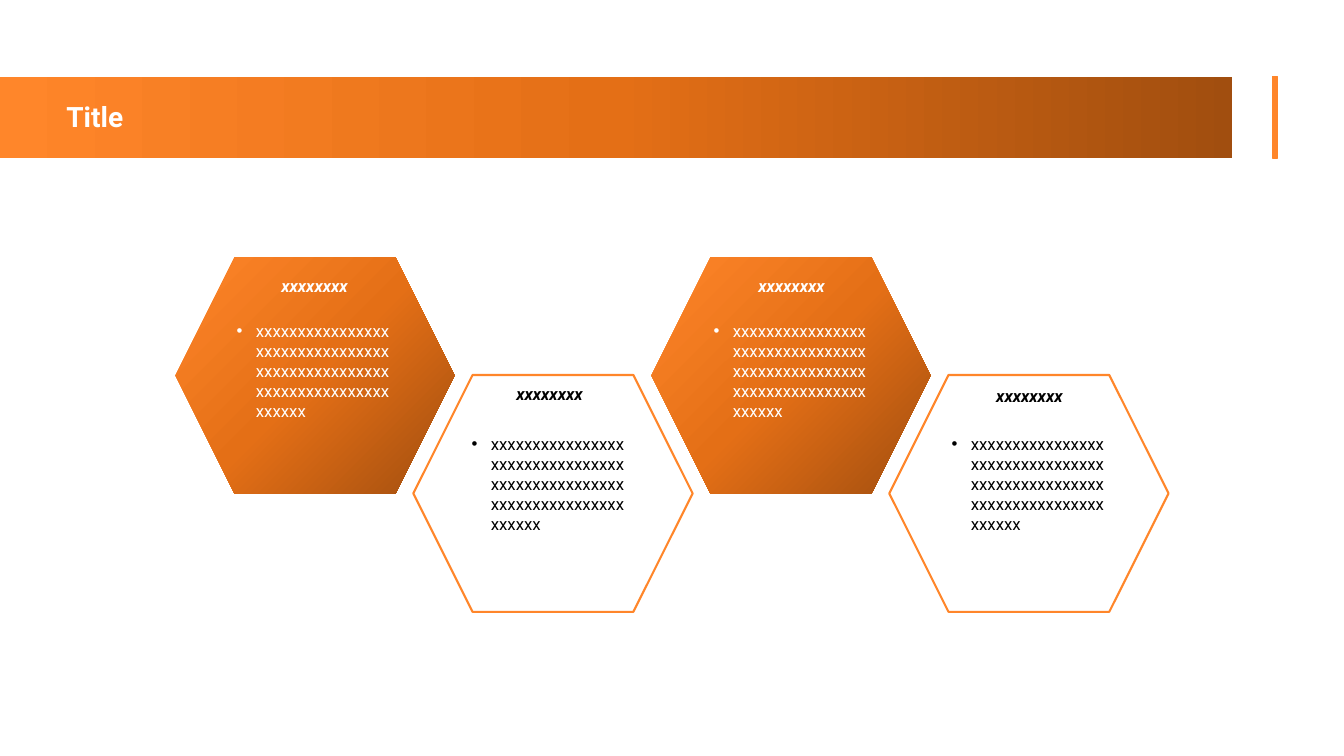
from dataclasses import dataclass

from lxml import etree
from pptx import Presentation
from pptx.dml.color import RGBColor
from pptx.enum import shapes, text
from pptx.oxml.ns import qn
from pptx.util import Inches, Pt

TITLE = "Title"
# heading, bullet, row, heading offset in its hexagon
CARDS = [
    ("xxxxxxxx", "x" * 70, 0, (0.72, 0.14)),
    ("xxxxxxxx", "x" * 70, 1, (0.69, 0.04)),
    ("xxxxxxxx", "x" * 70, 0, (0.73, 0.14)),
    ("xxxxxxxx", "x" * 70, 1, (0.73, 0.06)),
]


@dataclass(frozen=True)
class Theme:
    face: str = "Roboto"
    main: str = "FF862A"
    mid: str = "E46F16"
    deep: str = "A14E0F"
    light: str = "FFFFFF"
    dark: str = "000000"
    big: int = 20
    small: int = 12


T = Theme()
WIDE, HIGH = 13.33, 7.5
LEFT, TOP = 1.74, 2.55          # first hexagon
STEP, DROP = 2.36, 1.17         # column and row pitch
HEX = (2.77, 2.35)
BAND = (0.76, 0.81)             # top and height of the title band
HEAD, BODY = (1.32, 0.3), (1.74, 1.11)
BODY_TOP = (0.58, 0.53)         # by row
SHIFT, HANG = 0.21, 0.19

deck = Presentation()
deck.slide_width, deck.slide_height = Inches(WIDE), Inches(HIGH)
slide = deck.slides.add_slide(deck.slide_layouts[6])


def blend(fill, angle):
    """Fill from the main colour through mid to deep."""
    fill.gradient()
    fill.gradient_angle = angle
    stops = fill.gradient_stops
    first = stops[0]._gs
    group = first.getparent()
    for old in list(group):
        group.remove(old)
    for pos, tint in ((0, T.main), (50, T.mid), (100, T.deep)):
        stop = etree.SubElement(group, qn("a:gs"), pos=str(pos * 1000))
        etree.SubElement(stop, qn("a:srgbClr"), val=tint)


def draw(kind, box, tint=None, line=None, angle=None):
    form = slide.shapes.add_shape(kind, *map(Inches, box))
    form.shadow.inherit = False
    if angle is not None:
        blend(form.fill, angle)
    elif tint:
        form.fill.solid()
        form.fill.fore_color.rgb = RGBColor.from_string(tint)
    else:
        form.fill.background()
    if line:
        form.line.color.rgb = RGBColor.from_string(T.main)
        form.line.width = Pt(line)
    else:
        form.line.fill.background()


def write(words, box, tint, size=T.small, align=None, bullet=False, **style):
    frame = slide.shapes.add_textbox(*map(Inches, box)).text_frame
    frame.word_wrap = True
    frame.auto_size = text.MSO_AUTO_SIZE.SHAPE_TO_FIT_TEXT
    para = frame.paragraphs[0]
    if align:
        para.alignment = align
    if bullet:
        props = para._p.get_or_add_pPr()
        props.set("marL", str(Inches(HANG)))
        props.set("indent", str(-Inches(HANG)))
        etree.SubElement(props, qn("a:buFont"), typeface="Arial")
        etree.SubElement(props, qn("a:buChar"), char="•")
    run = para.add_run()
    run.text = words
    run.font.color.rgb = RGBColor.from_string(tint)
    for key, value in {"name": T.face, "size": Pt(size), **style}.items():
        setattr(run.font, key, value)


kinds = shapes.MSO_SHAPE
draw(kinds.RECTANGLE, (0, BAND[0], 12.22, BAND[1]), angle=0)
draw(kinds.RECTANGLE, (12.62, BAND[0], 0.05, BAND[1]), tint=T.main, line=1)
write(TITLE, (0.56, 0.94, 11.11, 0.44), T.light, size=T.big, bold=True)

for col, (head, body, row, (dx, dy)) in enumerate(CARDS):
    x, y = LEFT + col * STEP, TOP + row * DROP
    look = {"line": 1.5} if row else {"angle": 315}
    ink = T.dark if row else T.light
    draw(kinds.HEXAGON, (x, y, *HEX), **look)
    write(head, (x + dx, y + dy, *HEAD), ink,
          align=text.PP_ALIGN.CENTER, bold=True, italic=True)
    write(body, (x + dx - SHIFT, y + BODY_TOP[row], *BODY), ink, bullet=True)

deck.save("out.pptx")
